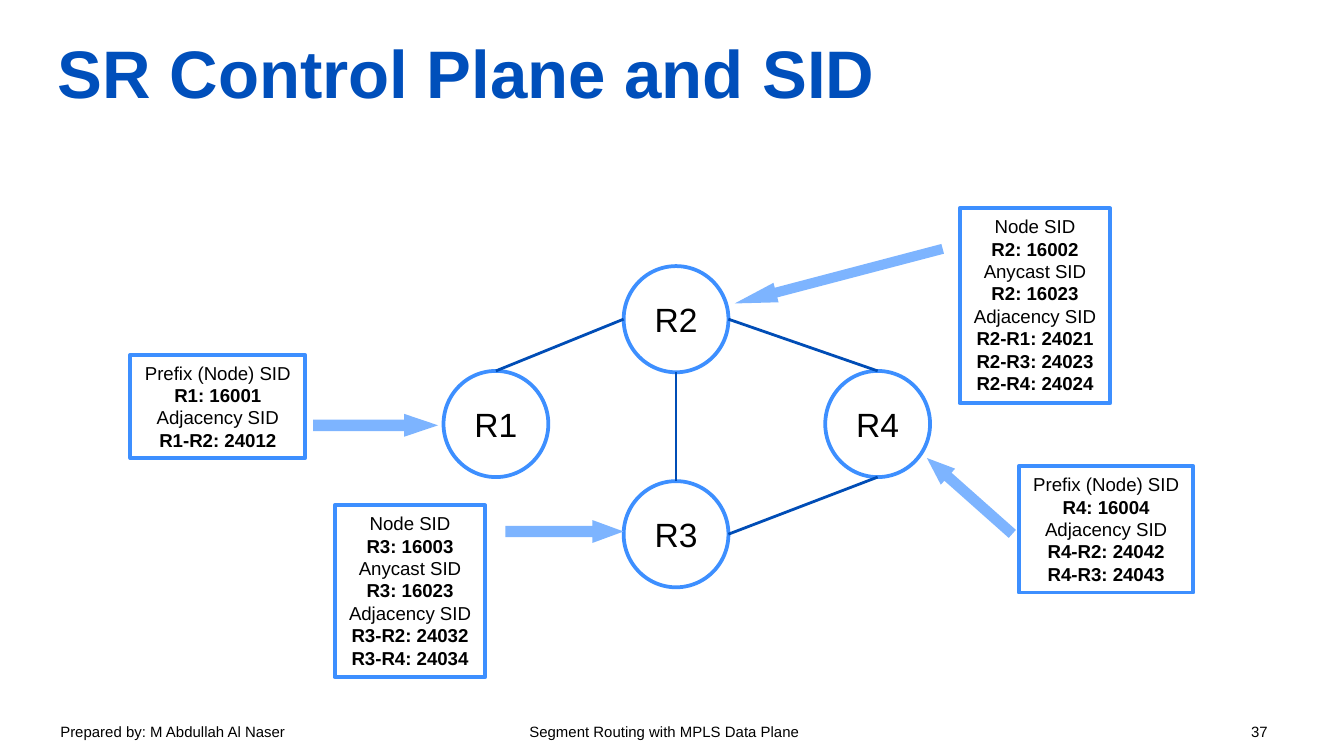
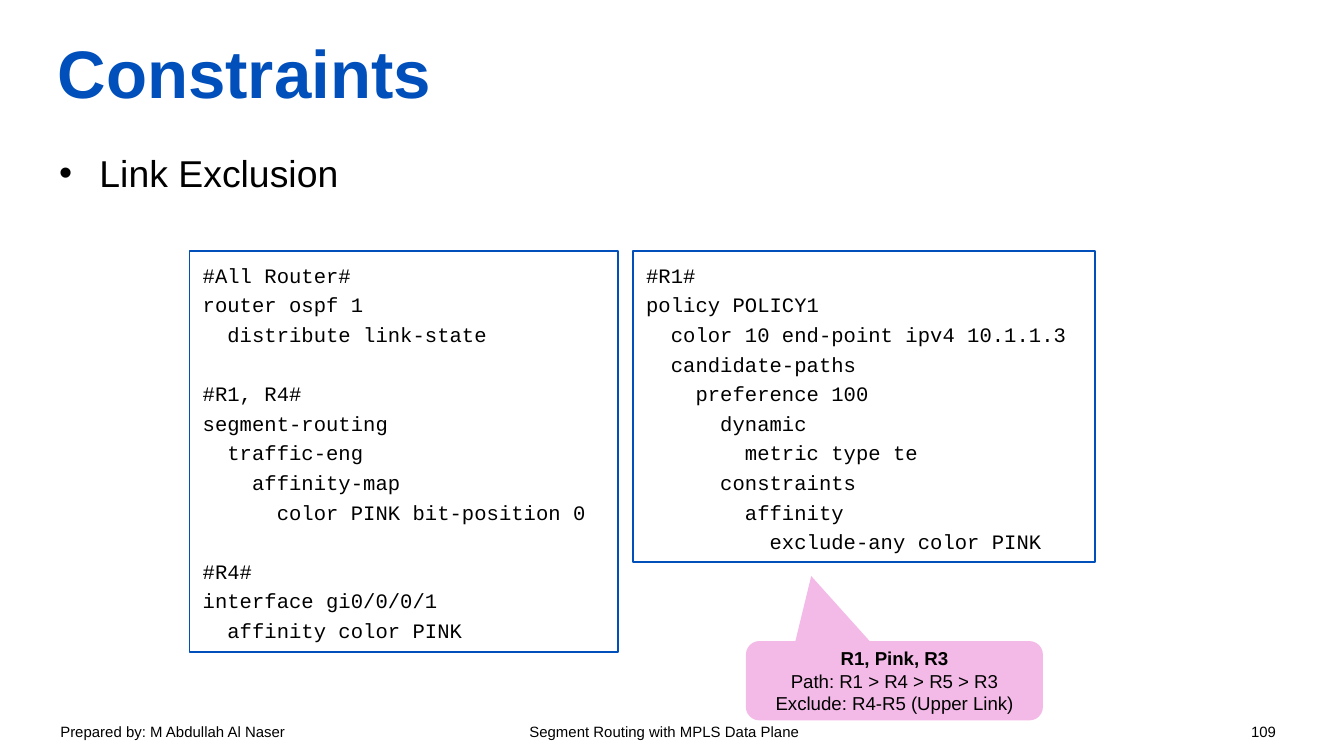
from pptx import Presentation
from pptx.dml.color import RGBColor
from pptx.enum.shapes import MSO_CONNECTOR, MSO_SHAPE
from pptx.enum.text import MSO_ANCHOR, MSO_AUTO_SIZE, PP_ALIGN
from pptx.oxml.ns import qn
from pptx.util import Inches, Pt
from lxml.etree import SubElement

TITLE_BLUE = RGBColor(0x00, 0x4F, 0xBB)
LINK_BLUE = RGBColor(0x00, 0x4D, 0xB6)
OUTLINE_BLUE = RGBColor(0x3D, 0x8F, 0xFF)
ARROW_BLUE = RGBColor(0x7D, 0xB4, 0xFF)
CALLOUT_PINK = RGBColor(0xF3, 0xBA, 0xE8)
BLACK = RGBColor(0x00, 0x00, 0x00)

COLUMNS, ROWS = 100, 56.25
CELL = Inches(10) / COLUMNS

TITLE_FONT = {"name": "Arial", "size": Pt(36), "bold": True, "color": TITLE_BLUE}
BODY_FONT = {"name": "Arial", "size": Pt(20), "color": BLACK}
ROUTER_FONT = {"name": "Arial", "size": Pt(18), "color": BLACK}
NOTE_FONT = {"name": "Arial", "size": Pt(10), "color": BLACK}
CODE_FONT = {"name": "Courier New", "size": Pt(11), "color": BLACK}
FOOTER_FONT = {"name": "Arial", "size": Pt(8), "color": BLACK}

TITLE_PLACE = (4.3, 0.6, 91.3, 9.4)
BODY_PLACE = (4.4, 11.2, 91.3, 41.3)
FOOTER_PLACE = (3.5, 53.3, 93.2, 2.5)
FOOTER_TABS = (34.9, 88.6)
FOOTER = ("Prepared by: M Abdullah Al Naser", "Segment Routing with MPLS Data Plane")

ROUTER_SIZE = (7.8, 7.9)
ROUTERS = {"R1": (36.9, 31.55), "R4": (65.3, 31.55), "R2": (50.3, 23.75), "R3": (50.3, 39.75)}
SIDES = {"top": (0, -0.5), "left": (-0.5, 0), "bottom": (0, 0.5), "right": (0.5, 0)}
LINKS = [
    ("R1", "top", "R2", "left"),
    ("R2", "bottom", "R3", "top"),
    ("R2", "right", "R4", "top"),
    ("R3", "right", "R4", "bottom"),
]
NOTES = [
    ((9.7, 26.4, 13, 7.7),
     ["Prefix (Node) SID", "R1: 16001", "Adjacency SID", "R1-R2: 24012"]),
    ((24.9, 37.6, 11.2, 12.8),
     ["Node SID", "R3: 16003", "Anycast SID", "R3: 16023",
      "Adjacency SID", "R3-R2: 24032", "R3-R4: 24034"]),
    ((75.8, 34.7, 13, 9.4),
     ["Prefix (Node) SID", "R4: 16004", "Adjacency SID", "R4-R2: 24042", "R4-R3: 24043"]),
    ((71.4, 15.5, 11.2, 14.5),
     ["Node SID", "R2: 16002", "Anycast SID", "R2: 16023",
      "Adjacency SID", "R2-R1: 24021", "R2-R3: 24023", "R2-R4: 24024"]),
]
ARROWS = [
    ((23.3, 30.8, 9.3, 1.7), 0, 1.48),
    ((37.6, 38.7, 8.8, 1.7), 0, 1.36),
    ((67.9, 36.1, 8.5, 1.6), 221.6, 1.31),
    ((54.4, 19.8, 16, 1.5), 165.3, 2.12),
]

CODE_GAP = Pt(15.9)
CODE_BOXES = [
    ((47.1, 18.7, 34.4, 23.1), [
        "#R1#",
        "policy POLICY1",
        "  color 10 end-point ipv4 10.1.1.3",
        "  candidate-paths",
        "    preference 100",
        "      dynamic",
        "        metric type te",
        "      constraints",
        "        affinity",
        "          exclude-any color PINK",
    ]),
    ((14.1, 18.7, 31.9, 29.8), [
        "#All Router#",
        "router ospf 1",
        "  distribute link-state",
        "#R1, R4#",
        "segment-routing",
        "  traffic-eng",
        "    affinity-map",
        "      color PINK bit-position 0",
        "#R4#",
        "interface gi0/0/0/1",
        "  affinity color PINK",
    ]),
]
CALLOUT_PLACE = (55.5, 47.7, 22.1, 5.9)
CALLOUT_SHAPE = (-0.28, -1.32, 0.17)
CALLOUT = ["R1, Pink, R3", "Path: R1 > R4 > R5 > R3", "Exclude: R4-R5 (Upper Link)"]


def cells(*values):
    return [round(value * CELL) for value in values]


def set_font(font, style):
    for name, value in style.items():
        if name == "color":
            font.color.rgb = value
        else:
            setattr(font, name, value)


def write(shape, lines, style, align=PP_ALIGN.LEFT, is_bold=None):
    frame = shape.text_frame
    for index, line in enumerate(lines):
        para = frame.paragraphs[0] if index == 0 else frame.add_paragraph()
        para.alignment = align
        span = para.add_run()
        span.text = line
        set_font(span.font, style)
        if is_bold:
            span.font.bold = is_bold(line)
    return frame


def set_frame(frame, **settings):
    for name, value in settings.items():
        setattr(frame, name, value)


def add_box(page, kind, place, fill=None, line=None, width=1):
    box = page.shapes.add_shape(kind, *cells(*place))
    box.shadow.inherit = False
    if fill:
        box.fill.solid()
        box.fill.fore_color.rgb = fill
    else:
        box.fill.background()
    if line:
        box.line.color.rgb = line
        box.line.width = Pt(width)
    else:
        box.line.fill.background()
    return box


def fill_placeholder(holder, place, lines, style, anchor):
    holder.left, holder.top, holder.width, holder.height = cells(*place)
    frame = write(holder, lines, style)
    set_frame(frame, margin_left=0, margin_right=0, margin_top=0, margin_bottom=0,
              vertical_anchor=anchor, auto_size=MSO_AUTO_SIZE.NONE, word_wrap=True)
    return frame


def add_page(deck, layout, title, number):
    page = deck.slides.add_slide(deck.slide_layouts.get_by_name(layout))
    footer = page.shapes.add_textbox(*cells(*FOOTER_PLACE))
    properties = footer.text_frame.paragraphs[0]._p.get_or_add_pPr()
    tabs = SubElement(properties, qn("a:tabLst"))
    for position in cells(*FOOTER_TABS):
        SubElement(tabs, qn("a:tab"), pos=str(position), algn="l")
    frame = write(footer, ["\t".join((*FOOTER, str(number)))], FOOTER_FONT)
    frame.word_wrap = True
    fill_placeholder(page.shapes.title, TITLE_PLACE, [title], TITLE_FONT, MSO_ANCHOR.MIDDLE)
    return page


def side_point(router, side):
    return [center + share * size
            for center, share, size in zip(ROUTERS[router], SIDES[side], ROUTER_SIZE)]


def add_link(page, start, start_side, end, end_side):
    ends = side_point(start, start_side) + side_point(end, end_side)
    link = page.shapes.add_connector(MSO_CONNECTOR.STRAIGHT, *cells(*ends))
    link.line.color.rgb = LINK_BLUE
    link.line.width = Pt(1.5)
    SubElement(link._element.spPr, qn("a:effectLst"))


def build_control_plane(deck):
    page = add_page(deck, "Title Only", "SR Control Plane and SID", 37)
    width, height = ROUTER_SIZE
    for name, (x, y) in ROUTERS.items():
        place = (x - width / 2, y - height / 2, width, height)
        router = add_box(page, MSO_SHAPE.OVAL, place, line=OUTLINE_BLUE, width=2)
        frame = write(router, [name], ROUTER_FONT, PP_ALIGN.CENTER)
        frame.vertical_anchor = MSO_ANCHOR.MIDDLE
    for link in LINKS:
        add_link(page, *link)
    for place, lines in NOTES:
        note = add_box(page, MSO_SHAPE.RECTANGLE, place, line=OUTLINE_BLUE, width=2)
        frame = write(note, lines, NOTE_FONT, PP_ALIGN.CENTER, lambda line: ":" in line)
        set_frame(frame, word_wrap=False, vertical_anchor=MSO_ANCHOR.TOP,
                  auto_size=MSO_AUTO_SIZE.SHAPE_TO_FIT_TEXT)
    for place, angle, head in ARROWS:
        arrow = add_box(page, MSO_SHAPE.RIGHT_ARROW, place, fill=ARROW_BLUE)
        arrow.rotation = angle
        arrow.adjustments[1] = head


def build_constraints(deck):
    page = add_page(deck, "Title and Content", "Constraints", 109)
    frame = fill_placeholder(page.placeholders[1], BODY_PLACE, ["Link Exclusion"],
                             BODY_FONT, MSO_ANCHOR.TOP)
    para = frame.paragraphs[0]
    para.space_before = Pt(0)
    properties = para._p.get_or_add_pPr()
    properties.set("marL", str(Inches(0.3)))
    properties.set("indent", str(-Inches(0.3)))
    SubElement(properties, qn("a:buChar"), char="•")

    for place, lines in CODE_BOXES:
        box = add_box(page, MSO_SHAPE.RECTANGLE, place, line=TITLE_BLUE)
        frame = write(box, lines, CODE_FONT)
        set_frame(frame, word_wrap=True, vertical_anchor=MSO_ANCHOR.TOP,
                  auto_size=MSO_AUTO_SIZE.SHAPE_TO_FIT_TEXT)
        for index, para in enumerate(frame.paragraphs):
            para.line_spacing = 1.2
            if index and para.text.startswith("#"):
                para.space_before = CODE_GAP

    callout = add_box(page, MSO_SHAPE.ROUNDED_RECTANGULAR_CALLOUT, CALLOUT_PLACE, fill=CALLOUT_PINK)
    for index, value in enumerate(CALLOUT_SHAPE):
        callout.adjustments[index] = value
    frame = write(callout, CALLOUT, NOTE_FONT, PP_ALIGN.CENTER, lambda line: line == CALLOUT[0])
    frame.vertical_anchor = MSO_ANCHOR.MIDDLE


def main():
    deck = Presentation()
    deck.slide_width, deck.slide_height = cells(COLUMNS, ROWS)
    build_control_plane(deck)
    build_constraints(deck)
    deck.save("out.pptx")


if __name__ == "__main__":
    main()
